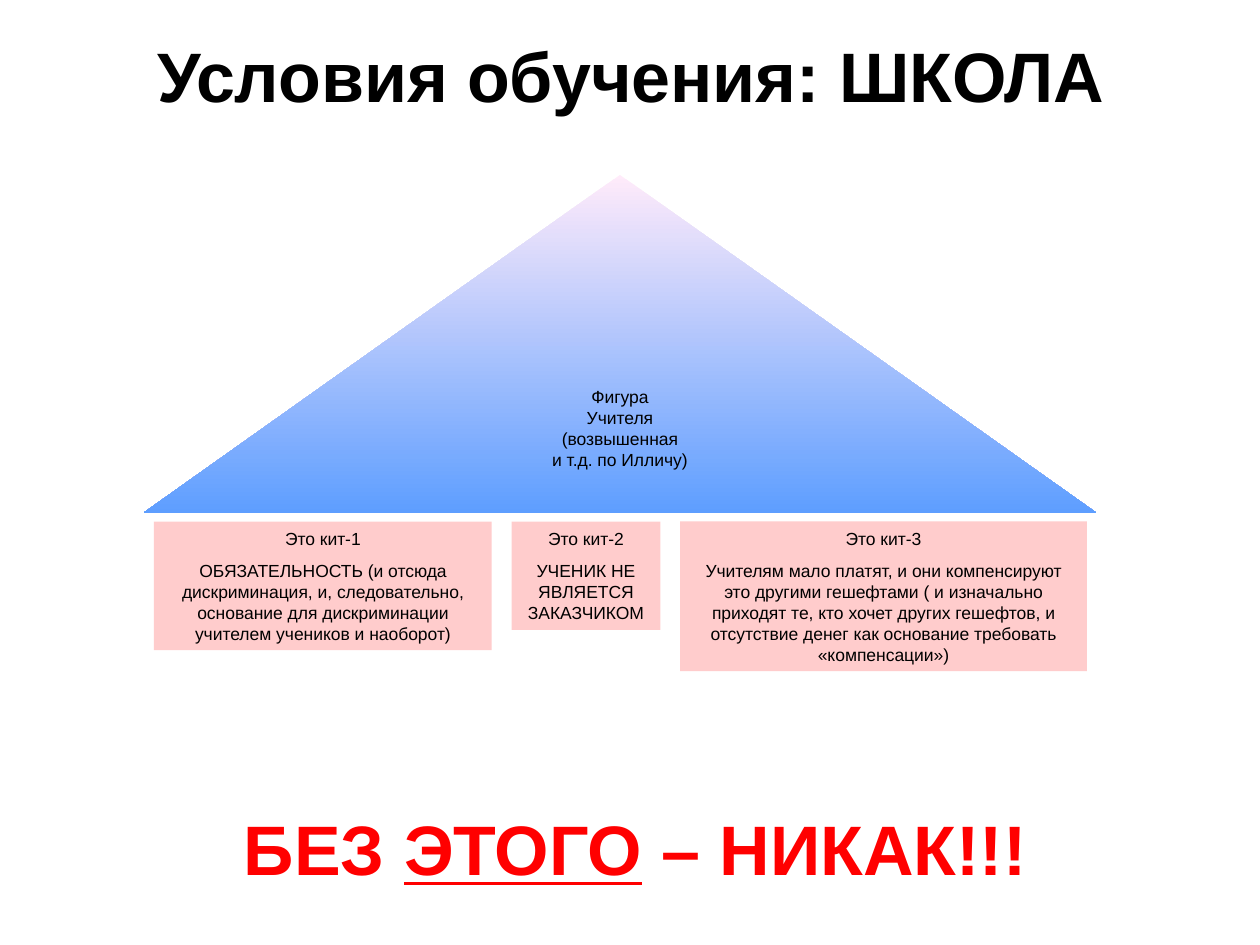
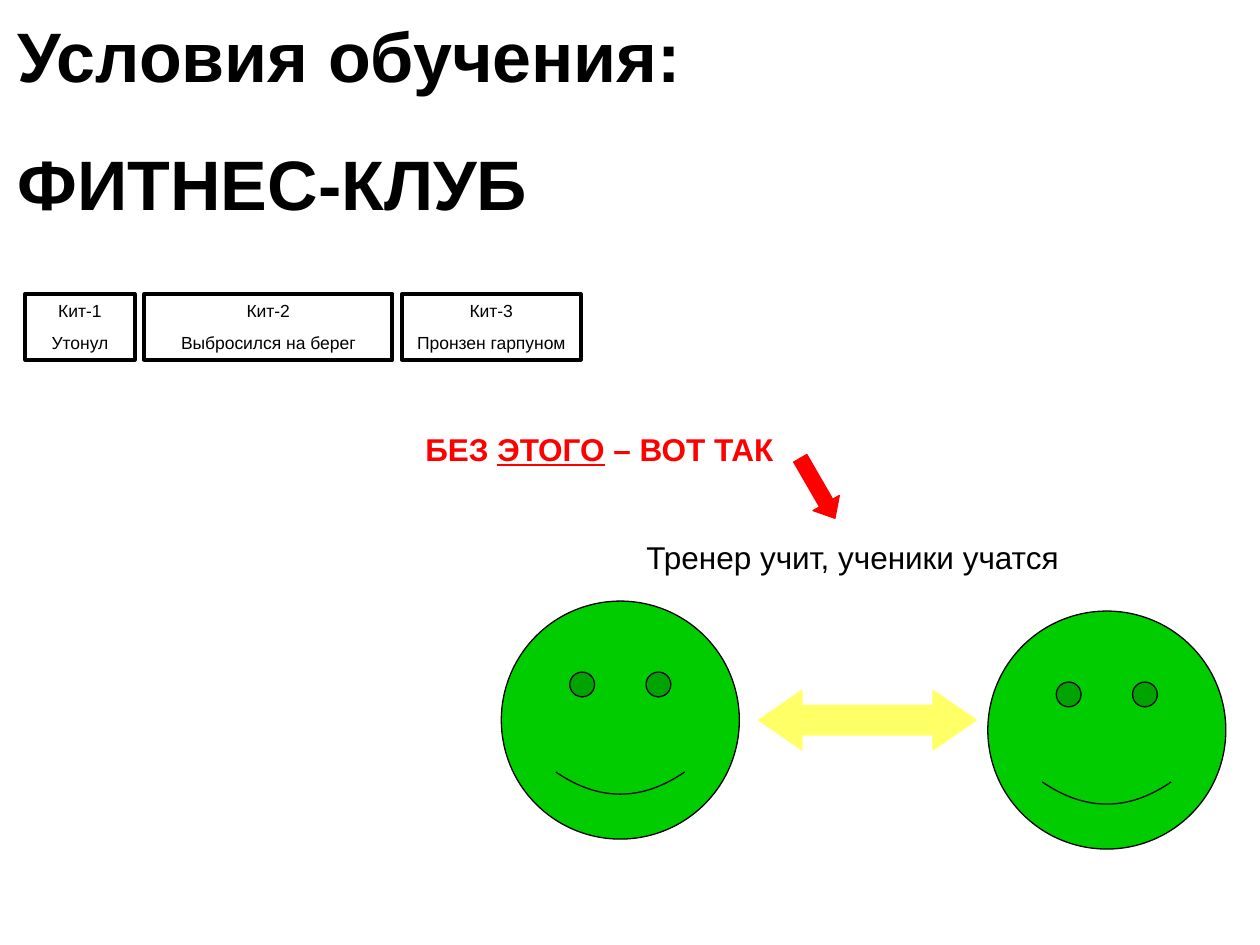
from pptx import Presentation
from pptx.dml.color import RGBColor
from pptx.enum import shapes, text
from pptx.util import Pt

FONT = "Arial"
BLACK = RGBColor(0x00, 0x00, 0x00)
RED = RGBColor(0xFF, 0x00, 0x00)
PINK = RGBColor(0xFF, 0xCC, 0xCC)
GREEN = RGBColor(0x00, 0xCC, 0x00)
YELLOW = RGBColor(0xFF, 0xFF, 0x66)
ROOF_TOP = RGBColor(0xFF, 0xEB, 0xFA)
ROOF_BOTTOM = RGBColor(0x5E, 0x9E, 0xFF)

TITLE_ONLY = 5
TITLE_SIZE, NOTE_SIZE, BODY_SIZE = 40, 18, 10
SPACING = 0.625  # space before a paragraph, as a share of its text size
SHAPE = shapes.MSO_SHAPE
CENTER, LEFT = text.PP_ALIGN.CENTER, text.PP_ALIGN.LEFT


def write(frame, lines, size, color=BLACK, bold=False, align=CENTER,
          spacing=SPACING, anchor=text.MSO_ANCHOR.TOP, wrap=True):
    """Fill a frame; each line is a string or a list of (text, underlined) runs."""
    frame.auto_size = text.MSO_AUTO_SIZE.NONE
    frame.word_wrap = wrap
    frame.vertical_anchor = anchor
    for index, line in enumerate(lines):
        paragraph = frame.add_paragraph() if index else frame.paragraphs[0]
        paragraph.alignment = align
        paragraph.space_before = Pt(size * spacing if index else 0)
        for words, underlined in [(line, False)] if isinstance(line, str) else line:
            run = paragraph.add_run()
            run.text = words
            if underlined:
                run.font.underline = True
        font = paragraph.font
        font.name, font.size, font.bold = FONT, Pt(size), bold
        font.color.rgb = color


def place(item, left, top, width, height):
    item.left, item.top, item.width, item.height = map(Pt, (left, top, width, height))


def add_titled_slide(deck, lines, box, align=CENTER):
    slide = deck.slides.add_slide(deck.slide_layouts[TITLE_ONLY])
    place(slide.shapes.title, *box)
    write(slide.shapes.title.text_frame, lines, TITLE_SIZE, bold=True, align=align)
    return slide


def add_note(slide, line, box, size, **style):
    note = slide.shapes.add_textbox(*map(Pt, box))
    write(note.text_frame, [line], size, **style)


def add_figure(slide, kind, box, fill=None, line=None, line_width=0.75):
    figure = slide.shapes.add_shape(kind, *map(Pt, box))
    figure.shadow.inherit = False
    if fill is None:
        figure.fill.background()
    else:
        figure.fill.solid()
        figure.fill.fore_color.rgb = fill
    if line is None:
        figure.line.fill.background()
    else:
        figure.line.color.rgb = line
        figure.line.width = Pt(line_width)
    return figure


def add_whales(slide, left, top, gap, whales, **look):
    """Set boxes of (heading, statement, width, height) side by side."""
    for heading, statement, width, height in whales:
        whale = add_figure(slide, SHAPE.RECTANGLE, (left, top, width, height), **look)
        write(whale.text_frame, [heading, statement], BODY_SIZE)
        left += width + gap


def add_teacher_roof(slide):
    roof = add_figure(slide, SHAPE.ISOSCELES_TRIANGLE, (82, 100, 544.5, 193))
    roof.fill.gradient()
    roof.fill.gradient_angle = 270
    for stop, color in zip(roof.fill.gradient_stops, (ROOF_TOP, ROOF_BOTTOM)):
        stop.color.rgb = color
    write(roof.text_frame,
          ["Фигура", "Учителя", "(возвышенная", "и т.д. по Илличу)"],
          BODY_SIZE, spacing=0, anchor=text.MSO_ANCHOR.MIDDLE, wrap=False)


def without_this(ending):
    return [("БЕЗ ", False), ("ЭТОГО", True), (ending, False)]


def add_school(deck):
    slide = add_titled_slide(deck, ["Условия обучения: ШКОЛА"], (60, 15, 601, 55.5))
    add_teacher_roof(slide)
    add_whales(slide, 88, 298, 11.3, [
        ("Это кит-1",
         "ОБЯЗАТЕЛЬНОСТЬ (и отсюда дискриминация, и, следовательно, основание "
         "для дискриминации учителем учеников и наоборот)", 193, 73.5),
        ("Это кит-2", "УЧЕНИК НЕ ЯВЛЯЕТСЯ ЗАКАЗЧИКОМ", 85, 62),
        ("Это кит-3",
         "Учителям мало платят, и они компенсируют это другими гешефтами "
         "( и изначально приходят те, кто хочет других гешефтов, и отсутствие "
         "денег как основание требовать «компенсации»)", 232.5, 85.5),
    ], fill=PINK)
    add_note(slide, without_this(" – НИКАК!!!"), (99.5, 457, 527, 55.5),
             TITLE_SIZE, color=RED, bold=True)


def add_fitness_club(deck):
    slide = add_titled_slide(deck, ["Условия обучения:", "ФИТНЕС-КЛУБ"],
                             (3, 3.5, 408, 128), align=LEFT)
    add_whales(slide, 14.4, 168, 5.3, [
        ("Кит-1", "Утонул", 62.6, 37.5),
        ("Кит-2", "Выбросился на берег", 142, 37.5),
        ("Кит-3", "Пронзен гарпуном", 102.2, 37.5),
    ], line=BLACK, line_width=2.25)
    add_note(slide, without_this(" – ВОТ ТАК"), (206.5, 242, 272, 29),
             NOTE_SIZE, color=RED, bold=True)
    add_note(slide, "Тренер учит, ученики учатся", (342.5, 304, 289.5, 29), NOTE_SIZE)

    for left, top in ((286.5, 343.5), (564.5, 349.2)):
        face = add_figure(slide, SHAPE.SMILEY_FACE, (left, top, 136, 136), GREEN, BLACK)
        face.adjustments[0] = 0.093

    exchange = add_figure(slide, SHAPE.LEFT_RIGHT_ARROW, (433.5, 394.5, 124.5, 34),
                          YELLOW, YELLOW)
    exchange.adjustments[1] = 0.73
    pointer = add_figure(slide, SHAPE.DOWN_ARROW, (458.6, 259.2, 17.3, 39.6), RED, RED)
    pointer.adjustments[1] = 0.58
    pointer.rotation = 330


def main():
    deck = Presentation()
    deck.slide_width, deck.slide_height = Pt(720), Pt(540)
    add_school(deck)
    add_fitness_club(deck)
    deck.save("out.pptx")


if __name__ == "__main__":
    main()
